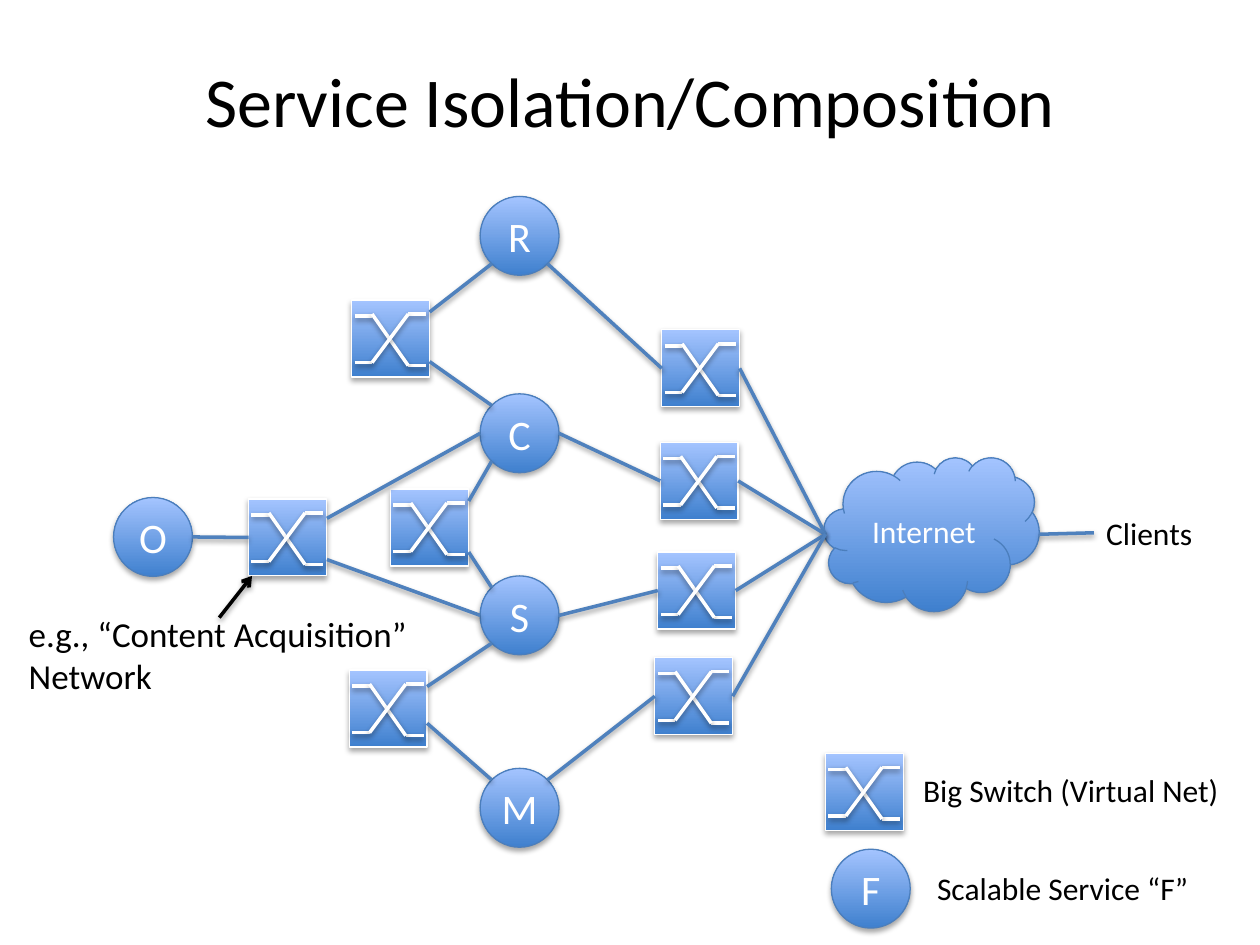
from math import cos, radians, sin

from lxml import etree
from pptx import Presentation
from pptx import util as u
from pptx.dml.color import RGBColor
from pptx.enum import shapes, text
from pptx.oxml.ns import qn

DARK = RGBColor(0x3F, 0x80, 0xCE)
LIGHT = RGBColor(0xA4, 0xC4, 0xFF)
EDGE = RGBColor(0x4B, 0x7E, 0xBC)
LINK = RGBColor(0x4F, 0x81, 0xBD)
WHITE = RGBColor(0xFF, 0xFF, 0xFF)
BLACK = RGBColor(0, 0, 0)

FONT = "Calibri"
DISC = 1.59
WIDE, HIGH = 1.57, 1.55
LEFT, RIGHT = 1, 3

GLYPH = [
    (0.06, 0.32, 0.41, 0.32),
    (0.06, 1.26, 0.41, 1.26),
    (1.14, 1.32, 1.5, 1.32),
    (1.14, 0.28, 1.5, 0.28),
    (0.41, 0.28, 1.14, 1.32),
    (0.41, 1.26, 1.14, 0.28),
]
NODES = {
    "R": (9.68, 3.96),
    "C": (9.68, 7.94),
    "S": (9.68, 11.61),
    "M": (9.68, 15.49),
    "O": (2.29, 10.03),
    "F": (16.76, 17.12),
}
NETS = {
    "RC": (7.09, 6.05),
    "CS": (7.87, 9.86),
    "SM": (7.04, 13.51),
    "O": (5.01, 10.06),
    "R": (13.34, 6.65),
    "C": (13.31, 8.92),
    "S": (13.26, 11.13),
    "M": (13.2, 13.26),
    "key": (16.64, 15.19),
}
INNER = [
    ("R", 135, (8.66, 6.29)),
    ("C", 225, (8.66, 7.29)),
    ("C", 180, (6.59, 10.45)),
    ("S", 180, (6.59, 11.28)),
    ("C", 135, (9.45, 10.1)),
    ("S", 225, (9.45, 11.13)),
    ("S", 135, (8.61, 13.84)),
    ("M", 225, (8.61, 14.58)),
]
OUTER = [("R", 45), ("C", 0), ("S", 0), ("M", 315)]
GATE = (16.64, 10.77)


def shade(shape, alpha, dist):
    props = shape._element.spPr
    list_ = props.find(qn("a:effectLst"))
    if list_ is None:
        list_ = etree.SubElement(props, qn("a:effectLst"))
    cast = etree.SubElement(list_, qn("a:outerShdw"), blurRad="40000", dist=str(dist),
                            dir="5400000", rotWithShape="0")
    tint = etree.SubElement(cast, qn("a:srgbClr"), val="000000")
    etree.SubElement(tint, qn("a:alpha"), val=str(alpha * 1000))


def write(frame, lines, size, color, align=text.PP_ALIGN.LEFT):
    for i, line in enumerate(lines):
        para = frame.paragraphs[0] if i == 0 else frame.add_paragraph()
        para.alignment = align
        run = para.add_run()
        run.text = line
        run.font.name = FONT
        run.font.size = u.Pt(size)
        run.font.color.rgb = color


def label(slide, box, lines, size):
    frame = slide.shapes.add_textbox(*map(u.Cm, box)).text_frame
    frame.word_wrap = False
    write(frame, lines, size, BLACK)


def title(slide, line):
    box = slide.shapes.add_textbox(u.Cm(1.27), u.Cm(0.41), u.Cm(22.86), u.Cm(3.18))
    frame = box.text_frame
    frame.word_wrap = True
    frame.vertical_anchor = text.MSO_ANCHOR.MIDDLE
    write(frame, [line], 40, BLACK, text.PP_ALIGN.CENTER)


def solid(host, kind, box, edge):
    shape = host.shapes.add_shape(kind, *map(u.Cm, box))
    shape.fill.gradient()
    shape.fill.gradient_angle = 90
    for stop, color in zip(shape.fill.gradient_stops, (DARK, LIGHT)):
        stop.color.rgb = color
    shape.line.color.rgb = edge
    shape.line.width = u.Pt(0.75)
    shape.shadow.inherit = False
    shade(shape, 35, 23000)
    return shape


def badge(slide, kind, box, name, size):
    frame = solid(slide, kind, box, EDGE).text_frame
    frame.margin_left = frame.margin_right = 0
    frame.margin_top = frame.margin_bottom = 0
    frame.vertical_anchor = text.MSO_ANCHOR.MIDDLE
    write(frame, [name], size, WHITE, text.PP_ALIGN.CENTER)


def wire(host, start, end, color=LINK):
    line = host.shapes.add_connector(
        shapes.MSO_CONNECTOR.STRAIGHT, *map(u.Cm, (*start, *end)))
    line.line.color.rgb = color
    line.line.width = u.Pt(2)
    shade(line, 38, 20000)
    return line


def switch(slide, x, y):
    group = slide.shapes.add_group_shape()
    body = solid(group, shapes.MSO_SHAPE.RECTANGLE, (x, y, WIDE, HIGH), WHITE)
    for x1, y1, x2, y2 in GLYPH:
        wire(group, (x + x1, y + y1), (x + x2, y + y2), WHITE)
    return body


def rim(name, angle):
    x, y = NODES[name]
    half = DISC / 2
    turn = radians(angle)
    return x + half + half * cos(turn), y + half + half * sin(turn)


def main():
    deck = Presentation()
    deck.slide_width, deck.slide_height = u.Cm(25.4), u.Cm(19.05)
    slide = deck.slides.add_slide(deck.slide_layouts[6])
    title(slide, "Service Isolation/Composition")

    for name, (x, y) in NODES.items():
        badge(slide, shapes.MSO_SHAPE.OVAL, (x, y, DISC, DISC), name, 24)
    badge(slide, shapes.MSO_SHAPE.CLOUD, (16.61, 9.22, 4.34, 3.1), "Internet", 18)
    nets = {name: switch(slide, *spot) for name, spot in NETS.items()}

    for name, angle, end in INNER:
        wire(slide, rim(name, angle), end)
    wire(slide, rim("O", 0), NETS["O"]).end_connect(nets["O"], LEFT)
    for name, angle in OUTER:
        wire(slide, rim(name, angle), NETS[name]).end_connect(nets[name], LEFT)
        wire(slide, NETS[name], GATE).begin_connect(nets[name], RIGHT)
    wire(slide, (20.95, 10.77), (22.05, 10.74))

    label(slide, (22.05, 10.24, 2.26, 1.02), ["Clients"], 18)
    label(slide, (18.36, 15.42, 6.55, 1.02), ["Big Switch (Virtual Net)"], 18)
    label(slide, (18.64, 17.4, 5.64, 1.02), ["Scalable Service “F”"], 18)
    label(slide, (0.33, 12.22, 8.2, 1.96),
          ["e.g., “Content Acquisition”", "Network"], 20)
    arrow = wire(slide, (4.42, 12.45), (5.08, 11.61), BLACK)
    etree.SubElement(arrow.line._get_or_add_ln(), qn("a:tailEnd"), type="arrow")

    deck.save("out.pptx")


if __name__ == "__main__":
    main()
